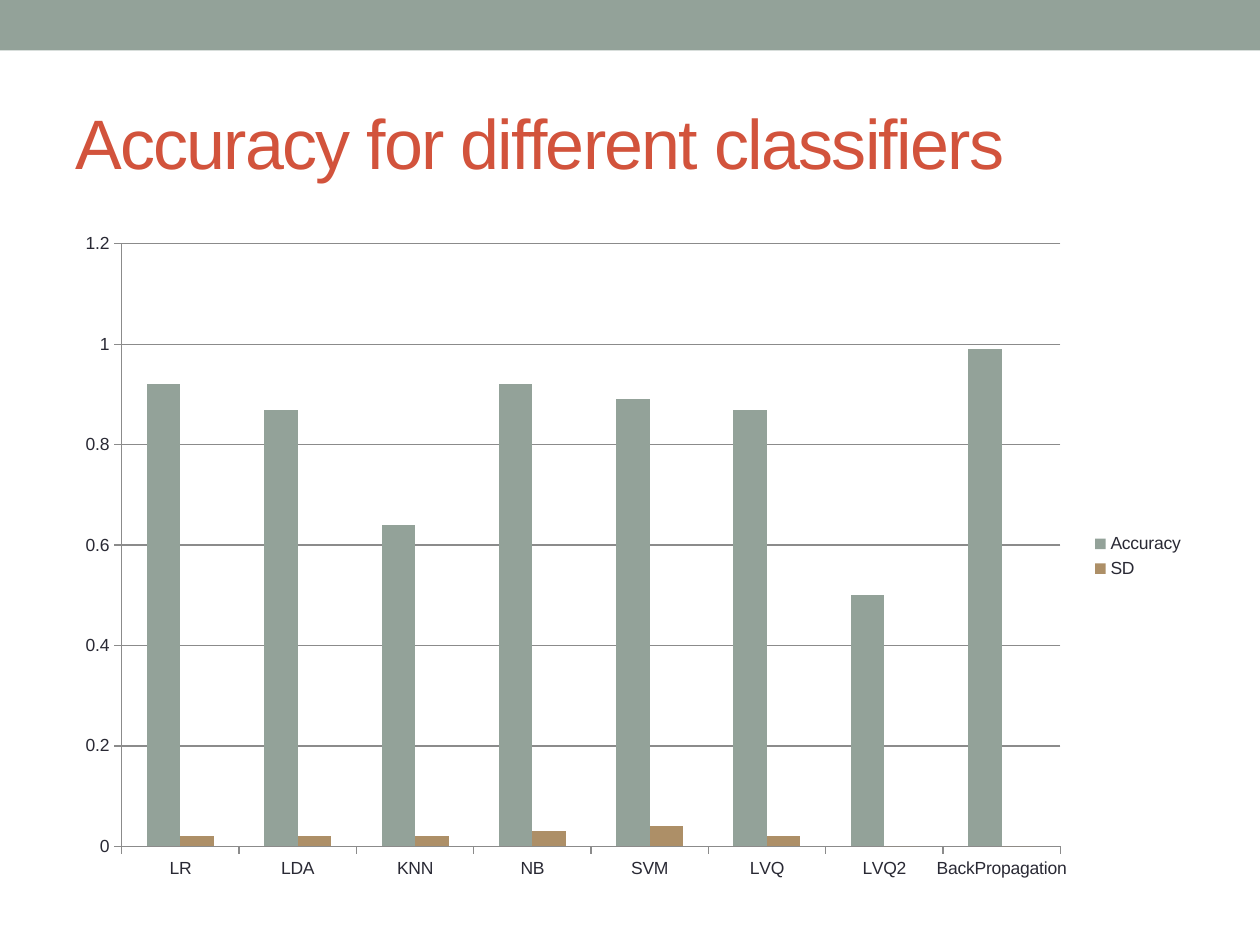
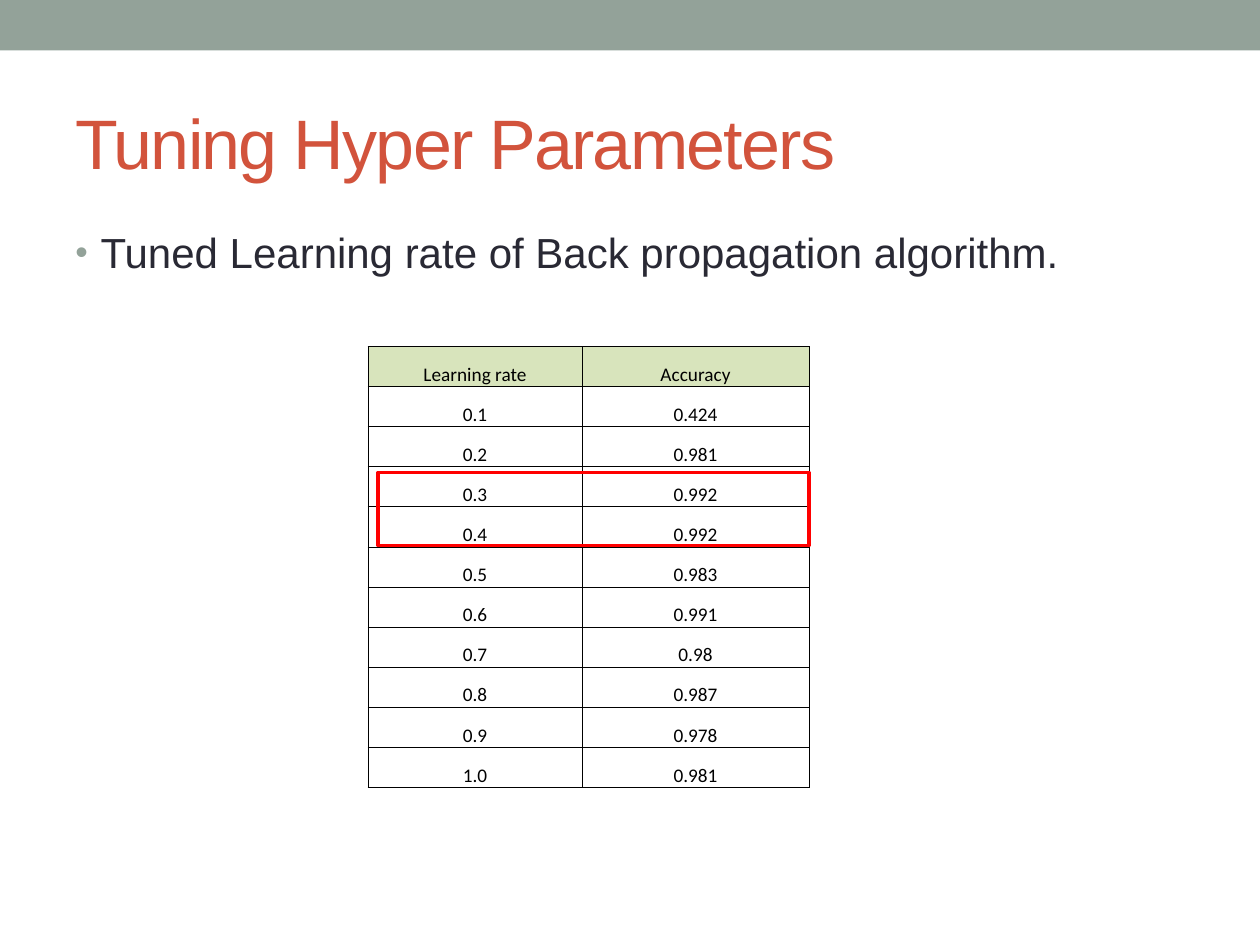
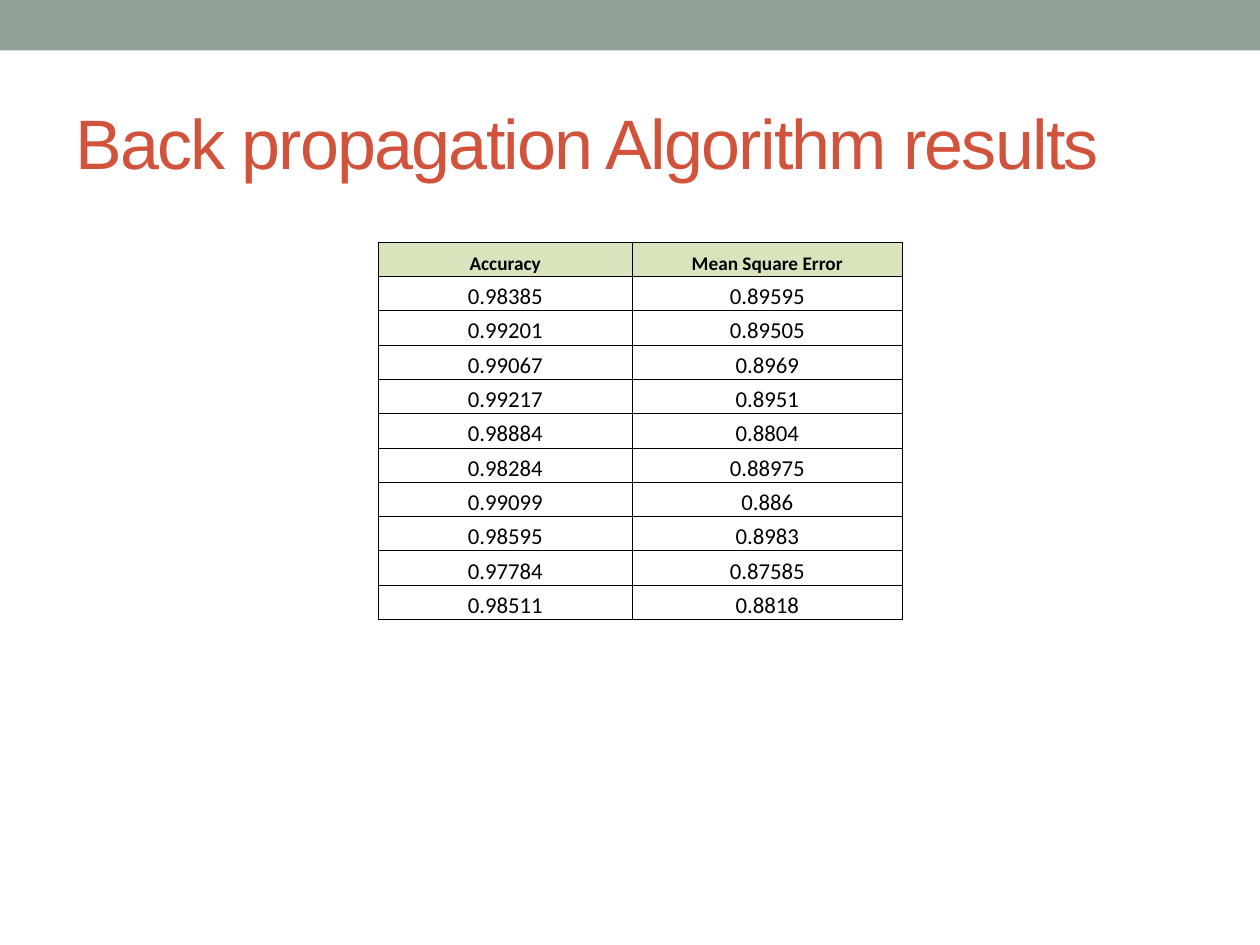
"""Build three slides on classifier accuracy and back propagation tuning."""
from dataclasses import dataclass

from lxml import etree
from pptx import Presentation
from pptx import util as u
from pptx.chart import data as chart_data
from pptx.dml.color import RGBColor
from pptx.enum import chart as charts, shapes, text
from pptx.oxml import ns


@dataclass(frozen=True)
class Theme:
    sage: str = "93A299"
    tan: str = "AD8F67"
    rust: str = "D2533C"
    ink: str = "292934"
    grid: str = "8B8B8B"
    black: str = "000000"
    header: str = "D8E4BC"
    alert: str = "FF0000"
    sans: str = "Arial"
    table_font: str = "Calibri"
    title_size: float = 40
    body_size: float = 24
    chart_size: float = 10
    header_size: float = 11
    rule: float = 0.5
    outline: float = 2.08


THEME = Theme()
SLIDE = (10, 7.5)
BAND = (0, 0, 10, 0.4)
TITLE = (0.5, 0.58, 9, 1.08)
BODY = (0.5, 1.75, 9, 5.33)

CLASSIFIERS = ["LR", "LDA", "KNN", "NB", "SVM", "LVQ", "LVQ2", "BackPropagation"]
SCORES = [
    ("Accuracy", [0.92, 0.87, 0.64, 0.92, 0.89, 0.87, 0.5, 0.99], THEME.sage),
    ("SD", [0.02, 0.02, 0.02, 0.03, 0.04, 0.02, 0, 0], THEME.tan),
]

TUNING_NOTE = "Tuned Learning rate of Back propagation algorithm."
LEARNING_RATES = [
    ("Learning rate", "Accuracy"),
    ("0.1", "0.424"),
    ("0.2", "0.981"),
    ("0.3", "0.992"),
    ("0.4", "0.992"),
    ("0.5", "0.983"),
    ("0.6", "0.991"),
    ("0.7", "0.98"),
    ("0.8", "0.987"),
    ("0.9", "0.978"),
    ("1.0", "0.981"),
]
BEST_RATES = (3, 3.75, 3.42, 0.58)

RESULTS = [
    ("Accuracy", "Mean Square Error"),
    ("0.98385", "0.89595"),
    ("0.99201", "0.89505"),
    ("0.99067", "0.8969"),
    ("0.99217", "0.8951"),
    ("0.98884", "0.8804"),
    ("0.98284", "0.88975"),
    ("0.99099", "0.886"),
    ("0.98595", "0.8983"),
    ("0.97784", "0.87585"),
    ("0.98511", "0.8818"),
]


def inches(place):
    return [u.Inches(length) for length in place]


def color(code):
    return RGBColor.from_string(code)


def add_xml(parent, tag, **attributes):
    return etree.SubElement(parent, ns.qn(tag), attributes)


def style_font(font, name, size, code, bold=False):
    font.name = name
    font.size = u.Pt(size)
    font.color.rgb = color(code)
    font.bold = bold


def add_rectangle(page, place, fill=None, line=None):
    box = page.shapes.add_shape(shapes.MSO_SHAPE.RECTANGLE, *inches(place))
    box.shadow.inherit = False
    if fill:
        box.fill.solid()
        box.fill.fore_color.rgb = color(fill)
    else:
        box.fill.background()
    if line:
        box.line.color.rgb = color(line)
        box.line.width = u.Pt(THEME.outline)
    else:
        box.line.fill.background()


def add_text(page, place, words, size, code, anchor):
    box = page.shapes.add_textbox(*inches(place))
    frame = box.text_frame
    frame.word_wrap = True
    frame.vertical_anchor = anchor
    frame.text = words
    para = frame.paragraphs[0]
    style_font(para.runs[0].font, THEME.sans, size, code)
    return para


def add_page(deck, title):
    page = deck.slides.add_slide(deck.slide_layouts[6])
    add_rectangle(page, BAND, fill=THEME.sage)
    para = add_text(page, TITLE, title, THEME.title_size, THEME.rust, text.MSO_ANCHOR.MIDDLE)
    para.runs[0].font._element.set("spc", "-100")
    return page


def add_bullet(page, words):
    para = add_text(page, BODY, words, THEME.body_size, THEME.ink, text.MSO_ANCHOR.TOP)
    para.space_before = u.Pt(0.2 * THEME.body_size)
    properties = para._p.get_or_add_pPr()
    properties.set("marL", str(u.Inches(0.2)))
    properties.set("indent", str(-u.Inches(0.2)))
    add_xml(add_xml(properties, "a:buClr"), "a:srgbClr", val=THEME.sage)
    add_xml(properties, "a:buSzPct", val="85000")
    add_xml(properties, "a:buFont", typeface=THEME.sans)
    add_xml(properties, "a:buChar", char="•")


def add_borders(cell):
    properties = cell._tc.get_or_add_tcPr()
    for side in ("a:lnL", "a:lnR", "a:lnT", "a:lnB"):
        line = add_xml(properties, side, w=str(u.Pt(THEME.rule)))
        add_xml(add_xml(line, "a:solidFill"), "a:srgbClr", val=THEME.black)


def fill_cell(cell, words, size, bold, fill):
    cell.margin_left = cell.margin_right = cell.margin_top = u.Inches(0.01)
    cell.margin_bottom = 0
    cell.vertical_anchor = text.MSO_ANCHOR.BOTTOM
    add_borders(cell)
    if fill:
        cell.fill.solid()
        cell.fill.fore_color.rgb = color(fill)
    else:
        cell.fill.background()
    cell.text_frame.text = words
    para = cell.text_frame.paragraphs[0]
    para.alignment = text.PP_ALIGN.CENTER
    style_font(para.runs[0].font, THEME.table_font, size, THEME.black, bold)


def add_grid(page, rows, left, top, widths, height, size, bold_header=False):
    place = inches((left, top, sum(widths), height))
    table = page.shapes.add_table(len(rows), len(widths), *place).table
    table.first_row = table.horz_banding = False
    for column, width in zip(table.columns, widths):
        column.width = u.Inches(width)
    for index, values in enumerate(rows):
        table.rows[index].height = u.Inches(height / len(rows))
        header = index == 0
        for cell, words in zip(table.rows[index].cells, values):
            fill_cell(
                cell,
                words,
                THEME.header_size if header else size,
                header and bold_header,
                THEME.header if header else None,
            )


def add_scores(page):
    data = chart_data.CategoryChartData()
    data.categories = CLASSIFIERS
    for name, values, _ in SCORES:
        data.add_series(name, values)
    kind = charts.XL_CHART_TYPE.COLUMN_CLUSTERED
    chart = page.shapes.add_chart(kind, *inches(BODY), data).chart
    style_font(chart.font, THEME.sans, THEME.chart_size, THEME.ink)
    chart.has_title = False
    chart.has_legend = True
    chart.legend.position = charts.XL_LEGEND_POSITION.RIGHT
    chart.legend.include_in_layout = False
    plot = chart.plots[0]
    plot.gap_width = 150
    plot.overlap = 0
    plot.vary_by_categories = False
    for series, (_, _, code) in zip(plot.series, SCORES):
        series.format.fill.solid()
        series.format.fill.fore_color.rgb = color(code)
    scale = chart.value_axis
    scale.minimum_scale, scale.maximum_scale, scale.major_unit = 0, 1.2, 0.2
    scale.has_major_gridlines = True
    for axis in (chart.category_axis, scale):
        axis.major_tick_mark = charts.XL_TICK_MARK.OUTSIDE
        axis.minor_tick_mark = charts.XL_TICK_MARK.NONE
    for part in (chart.category_axis, scale, scale.major_gridlines):
        part.format.line.color.rgb = color(THEME.grid)
        part.format.line.width = u.Pt(0.75)


def main():
    deck = Presentation()
    deck.slide_width, deck.slide_height = inches(SLIDE)

    add_scores(add_page(deck, "Accuracy for different classifiers"))

    tuning = add_page(deck, "Tuning Hyper Parameters")
    add_bullet(tuning, TUNING_NOTE)
    add_grid(tuning, LEARNING_RATES, 2.92, 2.75, (1.7, 1.8), 3.5, size=11)
    add_rectangle(tuning, BEST_RATES, line=THEME.alert)

    results = add_page(deck, "Back propagation Algorithm results")
    add_grid(results, RESULTS, 3, 1.92, (2.02, 2.14), 3, size=13, bold_header=True)

    deck.save("out.pptx")


if __name__ == "__main__":
    main()
